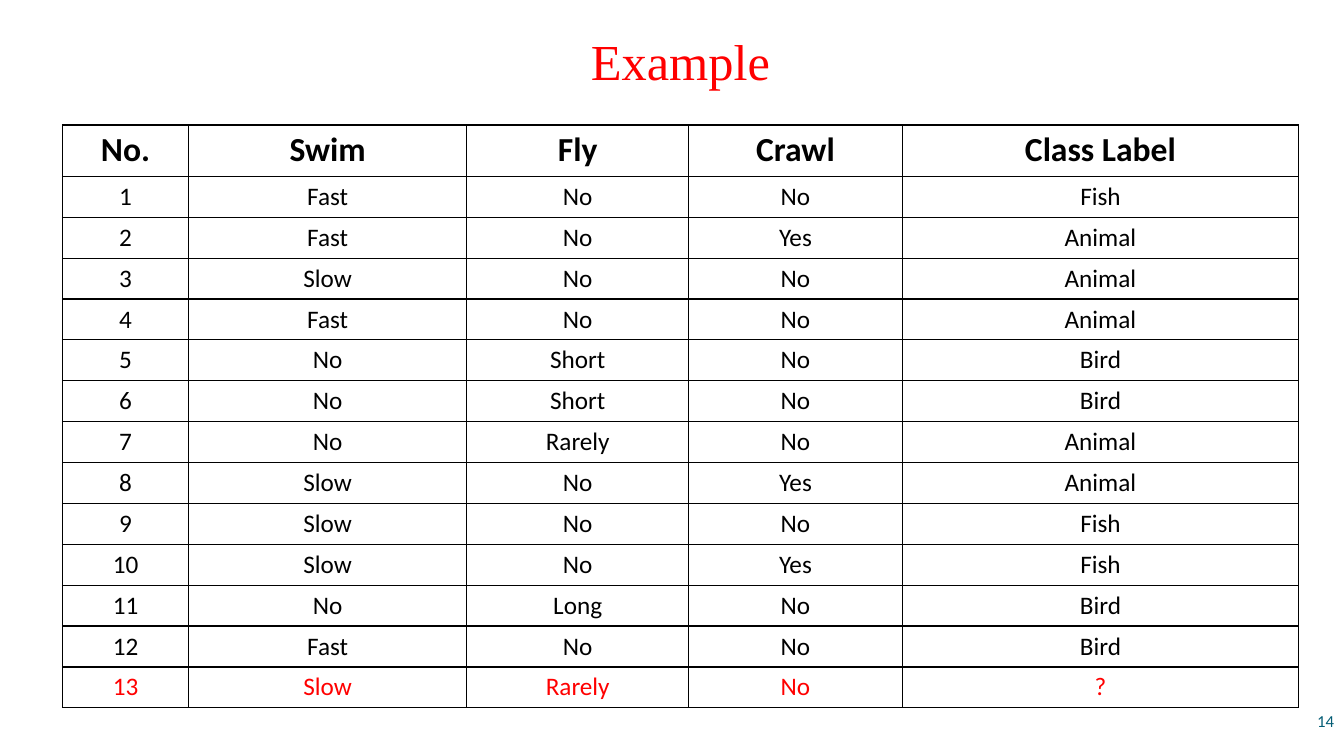
from lxml.etree import SubElement
from pptx import Presentation
from pptx.dml.color import RGBColor
from pptx.enum.text import MSO_ANCHOR as Anchor, PP_ALIGN as Align
from pptx.oxml.ns import qn
from pptx.util import Inches, Pt

BLACK, RED, TEAL = "000000", "FF0000", "045D75"

HEADINGS = ["No.", "Swim", "Fly", "Crawl", "Class Label"]
ANIMALS = [
    ["Fast", "No", "No", "Fish"],
    ["Fast", "No", "Yes", "Animal"],
    ["Slow", "No", "No", "Animal"],
    ["Fast", "No", "No", "Animal"],
    ["No", "Short", "No", "Bird"],
    ["No", "Short", "No", "Bird"],
    ["No", "Rarely", "No", "Animal"],
    ["Slow", "No", "Yes", "Animal"],
    ["Slow", "No", "No", "Fish"],
    ["Slow", "No", "Yes", "Fish"],
    ["No", "Long", "No", "Bird"],
    ["Fast", "No", "No", "Bird"],
    ["Slow", "Rarely", "No", "?"],
]
COLUMN_WIDTHS = [1.25, 2.76, 2.2, 2.12, 3.93]
HEADING_HEIGHT, ROW_HEIGHT = 0.51, 0.4


def rgb(color):
    return RGBColor.from_string(color)


class SlideBuilder:
    body_font = "Calibri"
    title_font = "Times New Roman"

    def __init__(self, slide):
        self.slide = slide

    def fill_text(self, frame, text, size, color, font=body_font, bold=False,
                  align=Align.CENTER):
        frame.text = text
        paragraph = frame.paragraphs[0]
        paragraph.alignment = align
        style = paragraph.runs[0].font
        style.name, style.size, style.bold = font, Pt(size), bold
        style.color.rgb = rgb(color)
        return paragraph

    def text(self, box, text, size, color, **style):
        frame = self.slide.shapes.add_textbox(*map(Inches, box)).text_frame
        frame.word_wrap = True
        frame.vertical_anchor = Anchor.MIDDLE
        return self.fill_text(frame, text, size, color, **style)

    def border(self, cell, color=BLACK, width=1):
        properties = cell._tc.get_or_add_tcPr()
        for side in ("a:lnL", "a:lnR", "a:lnT", "a:lnB"):
            line = SubElement(properties, qn(side), w=str(Pt(width)))
            fill = SubElement(line, qn("a:solidFill"))
            SubElement(fill, qn("a:srgbClr"), val=color)

    def table(self, left, top, widths, heights, rows):
        """Draw a grid with a bold first row and a red last row."""
        grid = self.slide.shapes.add_table(
            len(rows), len(widths), Inches(left), Inches(top),
            Inches(sum(widths)), Inches(sum(heights))).table
        for column, width in zip(grid.columns, widths):
            column.width = Inches(width)
        for index, (row, height, values) in enumerate(zip(grid.rows, heights, rows)):
            row.height = Inches(height)
            heading = index == 0
            color = RED if index == len(rows) - 1 else BLACK
            for cell, value in zip(row.cells, values):
                self.border(cell)
                cell.fill.background()
                self.fill_text(cell.text_frame, value, 24 if heading else 18, color,
                               bold=heading)


def main():
    deck = Presentation()
    deck.slide_width, deck.slide_height = Inches(13.33), Inches(7.5)
    builder = SlideBuilder(deck.slides.add_slide(deck.slide_layouts[6]))

    numbered = [[str(number), *animal] for number, animal in enumerate(ANIMALS, 1)]
    heights = [HEADING_HEIGHT] + [ROW_HEIGHT] * len(numbered)
    builder.table(0.62, 1.24, COLUMN_WIDTHS, heights, [HEADINGS] + numbered)

    title = builder.text((0.62, 0.38, 12.26, 0.51), "Example", 36, RED,
                         font=builder.title_font)
    title.line_spacing = 0.9
    builder.text((10.33, 6.95, 3, 0.4), "14", 12, TEAL, align=Align.RIGHT)

    deck.save("out.pptx")


if __name__ == "__main__":
    main()
